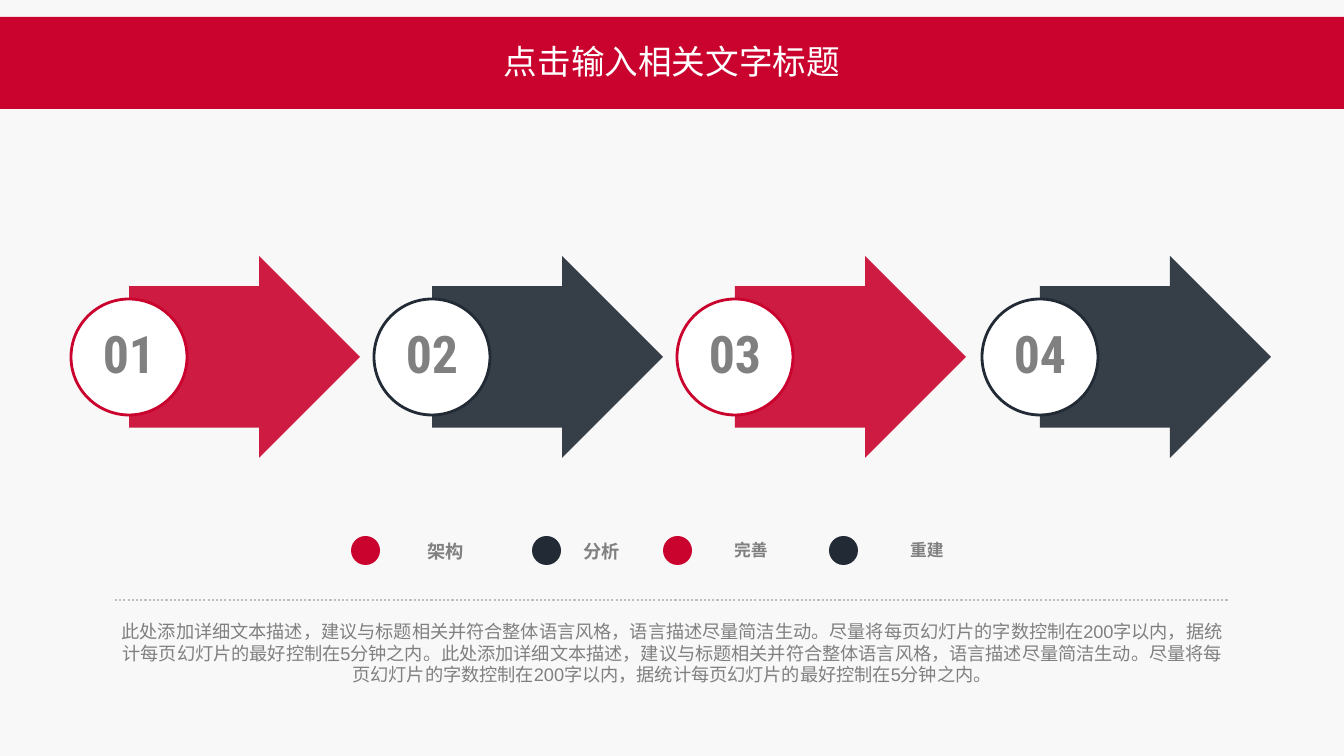
from lxml import etree
from pptx import Presentation
from pptx.dml.color import RGBColor
from pptx.enum.dml import MSO_LINE
from pptx.enum.shapes import MSO_CONNECTOR, MSO_SHAPE
from pptx.enum.text import MSO_ANCHOR, MSO_AUTO_SIZE, PP_ALIGN
from pptx.oxml.ns import qn
from pptx.util import Pt

EMU_PER_PX = 914400 / 100.8
TITLE_ONLY = 5
RECTANGLE = MSO_SHAPE.RECTANGLE
OVAL = MSO_SHAPE.OVAL
RIGHT_ARROW = MSO_SHAPE.RIGHT_ARROW
STRAIGHT = MSO_CONNECTOR.STRAIGHT
DOTTED = MSO_LINE.ROUND_DOT
CENTER = PP_ALIGN.CENTER
MIDDLE = MSO_ANCHOR.MIDDLE
NO_FIT = MSO_AUTO_SIZE.NONE

CHINESE_FONT = "Noto Sans CJK SC"
COLORS = {
    "background": "F8F8F8",
    "red": "CA032E",
    "navy": "222A35",
    "white": "FFFFFF",
    "gray": "808080",
    "rule": "BFBFBF",
}
STEPS = [
    ("01", 129, "red"),
    ("02", 432, "navy"),
    ("03", 735, "red"),
    ("04", 1040, "navy"),
]
LEGEND = [
    ("架构", 351, 446, 13, "red"),
    ("分析", 532, 602, 13, "navy"),
    ("完善", 663, 751, 12, "red"),
    ("重建", 829, 927, 12, "navy"),
]
DESCRIPTION = (
    "此处添加详细文本描述，建议与标题相关并符合整体语言风格，语言描述尽量简洁生动。"
    "尽量将每页幻灯片的字数控制在200字以内，据统计每页幻灯片的最好控制在5分钟之内。"
)


def px(length):
    return round(length * EMU_PER_PX)


def color(name):
    return RGBColor.from_string(COLORS[name])


def write_text(shape, text, size, color_name, font_name, bold=False, wrap=False, margin=0):
    frame = shape.text_frame
    frame.auto_size = NO_FIT
    frame.word_wrap = wrap
    frame.margin_left = frame.margin_right = px(margin)
    frame.margin_top = frame.margin_bottom = px(margin)
    frame.text = text
    paragraph = frame.paragraphs[0]
    paragraph.alignment = CENTER
    font = paragraph.font
    font.size = Pt(size)
    font.bold = bold
    font.color.rgb = color(color_name)
    font.name = font_name
    properties = paragraph._p.pPr.find(qn("a:defRPr"))
    etree.SubElement(properties, qn("a:ea"), typeface=CHINESE_FONT)
    return paragraph


def add_filled(slide, kind, left, top, width, height, fill, line=None):
    shape = slide.shapes.add_shape(kind, px(left), px(top), px(width), px(height))
    shape.shadow.inherit = False
    shape.fill.solid()
    shape.fill.fore_color.rgb = color(fill)
    if line:
        shape.line.color.rgb = color(line)
        shape.line.width = Pt(2)
    else:
        shape.line.fill.background()
    return shape


def add_text(slide, left, top, width, height, text, size, bold=False, wrap=False):
    box = slide.shapes.add_textbox(px(left), px(top), px(width), px(height))
    write_text(box, text, size, "gray", "Arial", bold, wrap)


def add_title(slide, text):
    title = slide.shapes.title
    title.left, title.top, title.width, title.height = px(494), px(36), px(356), px(50)
    write_text(title, text, 24, "white", CHINESE_FONT)
    title.text_frame.vertical_anchor = MIDDLE
    band = add_filled(slide, RECTANGLE, 0, 17, 1344, 92, "red")
    title.element.addprevious(band.element)


def add_legend_item(slide, label, dot_left, label_center, size, fill):
    add_filled(slide, OVAL, dot_left, 536, 29, 29, fill)
    add_text(slide, label_center - 18, 540, 36, 22, label, size, bold=True)


def add_rule(slide, left, right, top):
    rule = slide.shapes.add_connector(STRAIGHT, px(left), px(top), px(right), px(top))
    rule.line.color.rgb = color("rule")
    rule.line.width = Pt(1.5)
    rule.line.dash_style = DOTTED
    etree.SubElement(rule.element.spPr, qn("a:effectLst"))


def add_step(slide, number, left, fill):
    arrow = add_filled(slide, RIGHT_ARROW, left, 256, 231, 202, fill)
    arrow.adjustments[0] = 0.7
    arrow.adjustments[1] = 0.5
    fill_color = arrow.element.spPr.find(qn("a:solidFill"))[0]
    etree.SubElement(fill_color, qn("a:alpha"), val="90000")

    circle = add_filled(slide, OVAL, left - 58, 299, 116, 116, "white", fill)
    paragraph = write_text(circle, number, 37, "gray", "Roboto Condensed", bold=True)
    paragraph.line_spacing = 0.9
    circle.text_frame.vertical_anchor = MIDDLE


def main():
    presentation = Presentation()
    presentation.slide_width = px(1344)
    presentation.slide_height = px(756)
    slide = presentation.slides.add_slide(presentation.slide_layouts[TITLE_ONLY])
    slide.background.fill.solid()
    slide.background.fill.fore_color.rgb = color("background")

    add_title(slide, "点击输入相关文字标题")
    for item in LEGEND:
        add_legend_item(slide, *item)
    add_text(slide, 114, 620, 1116, 67, DESCRIPTION * 2, 13, wrap=True)
    add_rule(slide, 115, 1229, 600)
    for step in STEPS:
        add_step(slide, *step)

    presentation.save("out.pptx")


if __name__ == "__main__":
    main()
